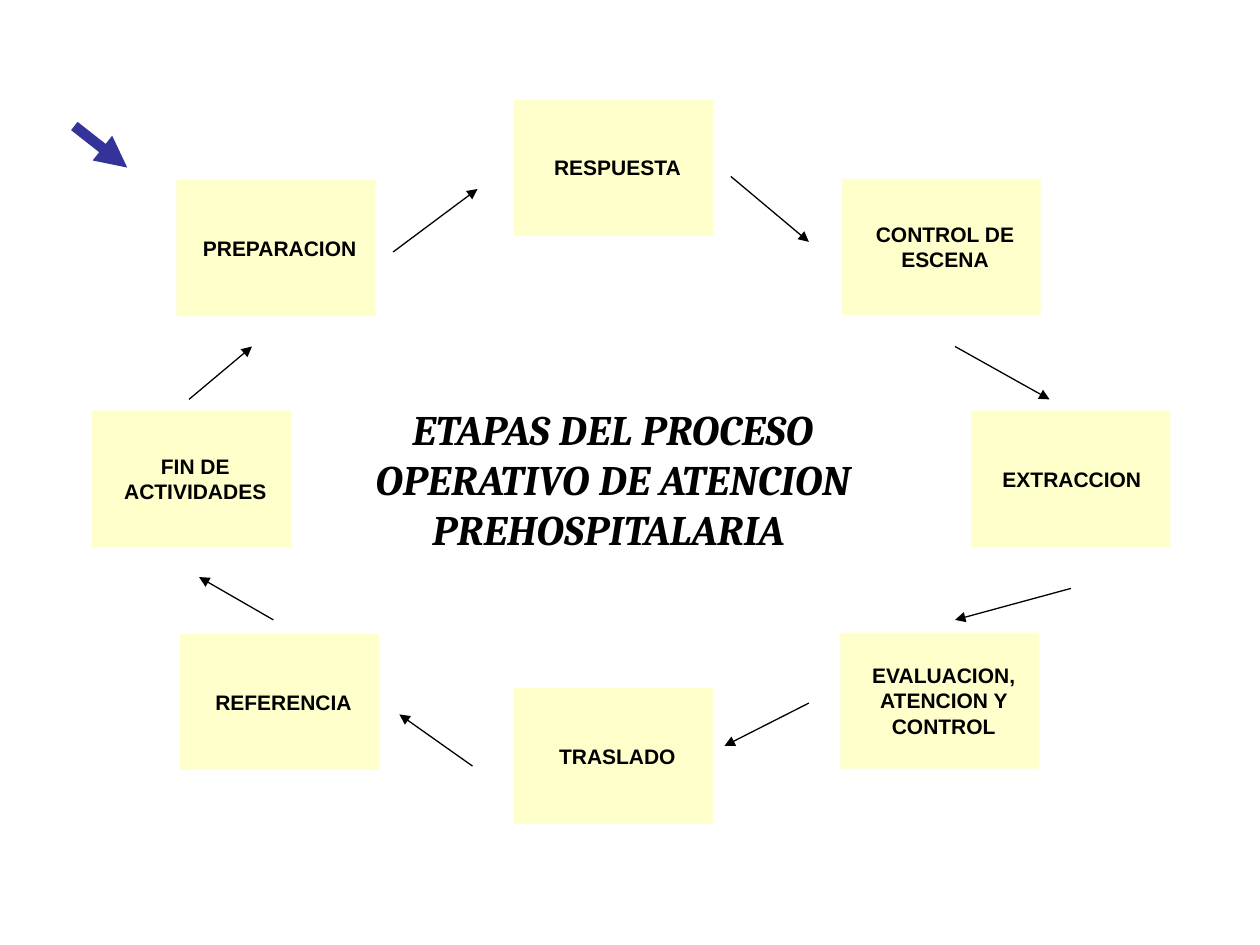
from lxml.etree import SubElement
from pptx import Presentation
from pptx.dml.color import RGBColor
from pptx.enum.shapes import MSO_CONNECTOR, MSO_SHAPE
from pptx.enum.text import MSO_ANCHOR, MSO_AUTO_SIZE, PP_ALIGN
from pptx.oxml.ns import qn
from pptx.util import Inches, Pt

BLACK = RGBColor(0x00, 0x00, 0x00)
CREAM = RGBColor(0xFF, 0xFF, 0xCC)
INDIGO = RGBColor(0x33, 0x33, 0x99)

BOX_W, BOX_H = 1.58, 1.08
LABEL_W = 1.52

TITLE = "ETAPAS DEL PROCESO OPERATIVO DE ATENCION PREHOSPITALARIA "
STAGES = [
    ("PREPARACION", 1.4, 1.43, 1),
    ("RESPUESTA", 4.08, 0.79, 1),
    ("CONTROL DE ESCENA", 6.68, 1.42, 2),
    ("EXTRACCION ", 7.71, 3.26, 1),
    ("EVALUACION, ATENCION Y CONTROL", 6.67, 5.02, 3),
    ("TRASLADO", 4.08, 5.46, 1),
    ("REFERENCIA", 1.43, 5.03, 1),
    ("FIN DE ACTIVIDADES", 0.73, 3.26, 2),
]
START = (0.59, 1, 1.01, 1.33)
STEPS = [
    (3.12, 2, 3.79, 1.5),
    (5.8, 1.4, 6.42, 1.92),
    (7.58, 2.75, 8.33, 3.17),
    (8.5, 4.67, 7.58, 4.92),
    (6.42, 5.58, 5.75, 5.92),
    (3.75, 6.08, 3.17, 5.67),
    (2.17, 4.92, 1.58, 4.58),
    (1.5, 3.17, 2, 2.75),
]


def add_text(shapes, text, left, top, width, height, face, size, italic=None):
    box = shapes.add_textbox(*map(Inches, (left, top, width, height)))
    frame = box.text_frame
    frame.text = text
    frame.word_wrap = True
    frame.auto_size = MSO_AUTO_SIZE.SHAPE_TO_FIT_TEXT
    frame.vertical_anchor = MSO_ANCHOR.MIDDLE
    line = frame.paragraphs[0]
    line.alignment = PP_ALIGN.CENTER
    font = line.runs[0].font
    font.name = face
    font.size = Pt(size)
    font.bold = True
    font.italic = italic
    font.color.rgb = BLACK


def add_stage(slide, text, left, top, rows):
    group = slide.shapes.add_group_shape()
    box = group.shapes.add_shape(
        MSO_SHAPE.RECTANGLE, *map(Inches, (left, top, BOX_W, BOX_H))
    )
    box.shadow.inherit = False
    box.fill.solid()
    box.fill.fore_color.rgb = CREAM
    box.line.fill.background()
    height = 0.1 + 0.2 * rows
    add_text(group.shapes, text, left + 0.06, top + (BOX_H - height) / 2,
             LABEL_W, height, "Arial", 12)


def add_arrow(slide, ends, color, width):
    arrow = slide.shapes.add_connector(
        MSO_CONNECTOR.STRAIGHT, *map(Inches, ends)
    )
    arrow.line.color.rgb = color
    arrow.line.width = Pt(width)
    SubElement(arrow.line._get_or_add_ln(), qn("a:tailEnd"), type="triangle")
    SubElement(arrow._element.spPr, qn("a:effectLst"))


def main():
    deck = Presentation()
    deck.slide_width = Inches(10)
    deck.slide_height = Inches(7.5)
    slide = deck.slides.add_slide(deck.slide_layouts[6])
    add_text(slide.shapes, TITLE, 2.75, 2.75, 4.23, 2.1, "Cambria", 24, True)
    for stage in STAGES:
        add_stage(slide, *stage)
    add_arrow(slide, START, INDIGO, 6)
    for ends in STEPS:
        add_arrow(slide, ends, BLACK, 0.75)
    deck.save("out.pptx")


if __name__ == "__main__":
    main()
